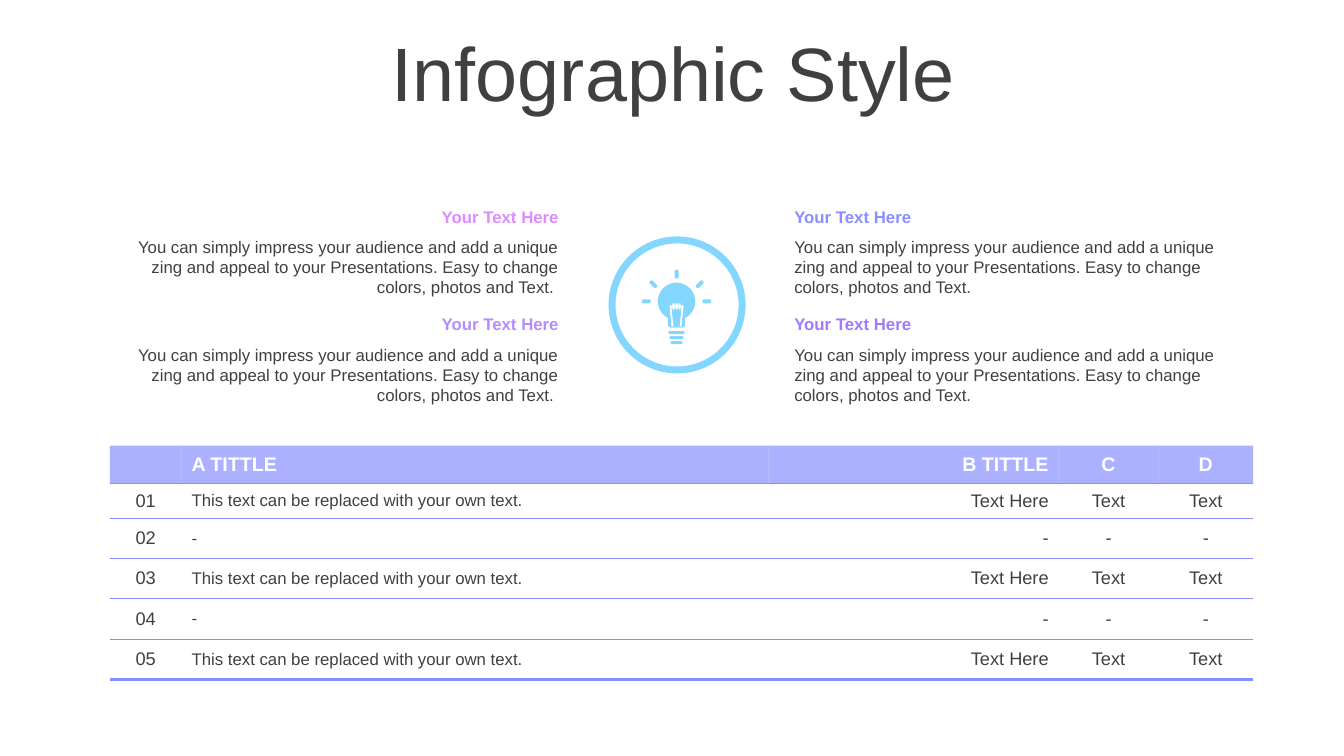
from math import cos, radians, sin

from lxml import etree
from pptx import Presentation
from pptx.dml.color import RGBColor
from pptx.enum.shapes import MSO_SHAPE
from pptx.enum.text import MSO_ANCHOR, PP_ALIGN
from pptx.oxml.ns import qn
from pptx.util import Pt

PX = 9144  # 100 px to the inch
FINE = 10  # outline steps in one px
FONT = "Arial"
LEFT, MID, RIGHT = PP_ALIGN.LEFT, PP_ALIGN.CENTER, PP_ALIGN.RIGHT
OVAL = MSO_SHAPE.OVAL
CENTRE = MSO_ANCHOR.MIDDLE
NO_GRID = "{2D5ABB26-0587-4C30-8999-92F81FD0307C}"
COLOR = {"ink": "404040", "white": "FFFFFF", "blue": "888FFF", "sky": "83D7FF",
         "pink": "DD8BFF", "lilac": "B58CFF", "violet": "A178FF"}
HEAD = "Your Text Here"
BODY = ("You can simply impress your audience and add a unique zing and appeal "
        "to your Presentations. Easy to change colors, photos and Text.")
LONG = "This text can be replaced with your own text."
FULL = [LONG, "Text Here", "Text", "Text"]
DASH = ["-"] * 4


def rgb(name):
    return RGBColor.from_string(COLOR[name])


def write(frame, text, size, color, align, bold=False):
    frame.text = text
    para = frame.paragraphs[0]
    para.alignment = align
    for run in para.runs:
        font = run.font
        font.name, font.size, font.bold = FONT, Pt(size), bold
        font.color.rgb = rgb(color)
    if not text:
        etree.SubElement(para._p, qn("a:endParaRPr"), sz=str(size * 100))
    return para


def label(slide, box, *style):
    frame = slide.shapes.add_textbox(*(n * PX for n in box)).text_frame
    frame.word_wrap = True
    return frame, write(frame, *style)


def paint(shape, fill):
    shape.shadow.inherit = False
    shape.fill.solid()
    shape.fill.fore_color.rgb = rgb(fill)
    shape.line.fill.background()


def title(slide, box):
    frame, para = label(slide, box, "Infographic Style", 54, "ink", MID)
    frame.vertical_anchor = CENTRE
    para.line_spacing = 0.9


def note(slide, x, y, gap, color, align):
    body = BODY + " " if align == RIGHT else BODY
    label(slide, (x, y, 464, 30), HEAD, 12, color, align, True)
    label(slide, (x, y + gap, 464, 71), body, 12, "ink", align)


def arc(x, y, radius, start, end, step=6):
    return [(x + radius * cos(radians(a)), y + radius * sin(radians(a)))
            for a in range(start, end + 1, step)]


def pill(x, y, wide, high, turn=0):
    half = (wide - high) / 2
    ends = arc(half, 0, high / 2, -90, 90, 15) + arc(-half, 0, high / 2, 90, 270, 15)
    c, s = cos(radians(turn)), sin(radians(turn))
    return [(x + c * px - s * py, y + s * px + c * py) for px, py in ends]


def ring(slide, x, y, size):
    shape = slide.shapes.add_shape(OVAL, x * PX, y * PX, size * PX, size * PX)
    paint(shape, "white")
    shape.line.color.rgb = rgb("sky")
    shape.line.width = Pt(5)


def bulb(slide, x, y):
    # Glass and neck
    loops = [arc(0, 0, 18.5, 117, 423) + arc(5.5, 23, 3, 0, 90, 15)
             + arc(-5.5, 23, 3, 90, 180, 15)]

    # Filament, cut out of the glass
    wire = [(-7, 4)]
    for tooth in (-3, 0, 3):
        wire += [(tooth - 1, 4), (tooth - 1, 2), (tooth + 1, 2), (tooth + 1, 4)]
    wire += [(7, 4), (5, 25), (3, 25), (5, 6)]
    for tooth in (3, 0, -3):
        wire += [(tooth + 1, 6), (tooth + 1, 8), (tooth - 1, 8), (tooth - 1, 6)]
    wire += [(-5, 6), (-3, 25), (-5, 25)]
    loops.append(wire)

    # Screw base
    loops += [pill(0, 31 + 5 * i, 16 - 2 * i, 3) for i in range(3)]

    # Rays
    rays = ((-30, 0, 0), (-23, -17, 45), (0, -27, 90), (23, -17, 135), (30, 0, 0))
    loops += [pill(dx, dy, 9, 4, turn) for dx, dy, turn in rays]

    # One outline
    loops = [[((x + px) * FINE, (y + py) * FINE) for px, py in loop] for loop in loops]
    draw = slide.shapes.build_freeform(*loops[0][0], scale=PX / FINE)
    for i, loop in enumerate(loops):
        if i:
            draw.move_to(*loop[0])
        draw.add_line_segments(loop[1:], close=True)
    paint(draw.convert_to_shape(), "sky")


def edge(cell, side, width):
    line = etree.SubElement(cell._tc.get_or_add_tcPr(), qn("a:" + side), w=str(Pt(width)))
    fill = etree.SubElement(line, qn("a:solidFill"))
    etree.SubElement(fill, qn("a:srgbClr"), val=COLOR["blue"])


def grid(slide, x, y, cols, rows):
    data = [["", "A TITTLE", "B TITTLE", "C", "D"]]
    data += [[f"{i:02}"] + (FULL if i % 2 else DASH) for i in range(1, len(rows))]
    table = slide.shapes.add_table(len(rows), len(cols), x * PX, y * PX,
                                   sum(cols) * PX, sum(rows) * PX).table
    table.first_row = table.horz_banding = False
    table._tbl.tblPr.find(qn("a:tableStyleId")).text = NO_GRID
    for col, wide in zip(table.columns, cols):
        col.width = wide * PX
    for row, high in zip(table.rows, rows):
        row.height = high * PX

    rules = [0.75, 1] + [0.75] * (len(rows) - 2) + [2.25]
    aligns = (MID, LEFT, RIGHT, MID, MID)
    for r, line in enumerate(data):
        for c, text in enumerate(line):
            cell = table.cell(r, c)
            cell.vertical_anchor = CENTRE
            size = 14 if r == 0 else 12 if c == 1 else 13
            write(cell.text_frame, text, size, "ink" if r else "white", aligns[c], r == 0)
            if r:
                edge(cell, "lnT", rules[r])
            edge(cell, "lnB", rules[r + 1])
            if r:
                cell.fill.background()
            else:
                cell.fill.solid()
                cell.fill.fore_color.rgb = rgb("blue")
                tint = cell._tc.tcPr.find(qn("a:solidFill"))[0]
                etree.SubElement(tint, qn("a:alpha"), val="70000")


def main():
    deck = Presentation()
    deck.slide_width, deck.slide_height = 1333 * PX, 750 * PX
    slide = deck.slides.add_slide(deck.slide_layouts[6])
    title(slide, (35, 37, 1266, 79))
    grid(slide, 109, 442, (71, 582, 288, 99, 94), (38, 34, 40, 40, 40, 40))
    for x, align, colors in ((100, RIGHT, ("pink", "lilac")),
                             (778, LEFT, ("blue", "violet"))):
        for i, color in enumerate(colors):
            note(slide, x, 200 + 106 * i, 30 + i, color, align)
    ring(slide, 607, 238, 129)
    bulb(slide, 671, 299)
    deck.save("out.pptx")


if __name__ == "__main__":
    main()
